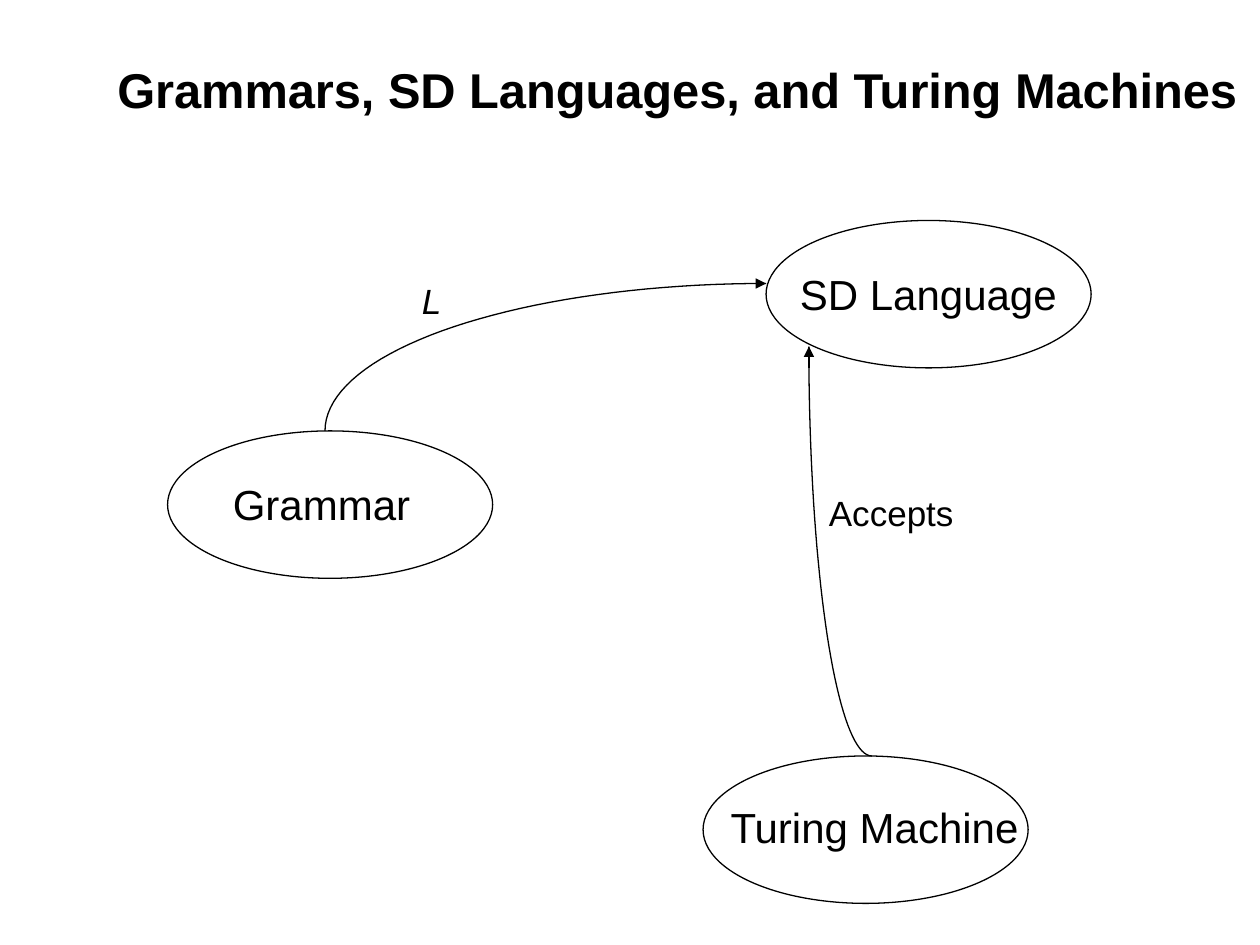
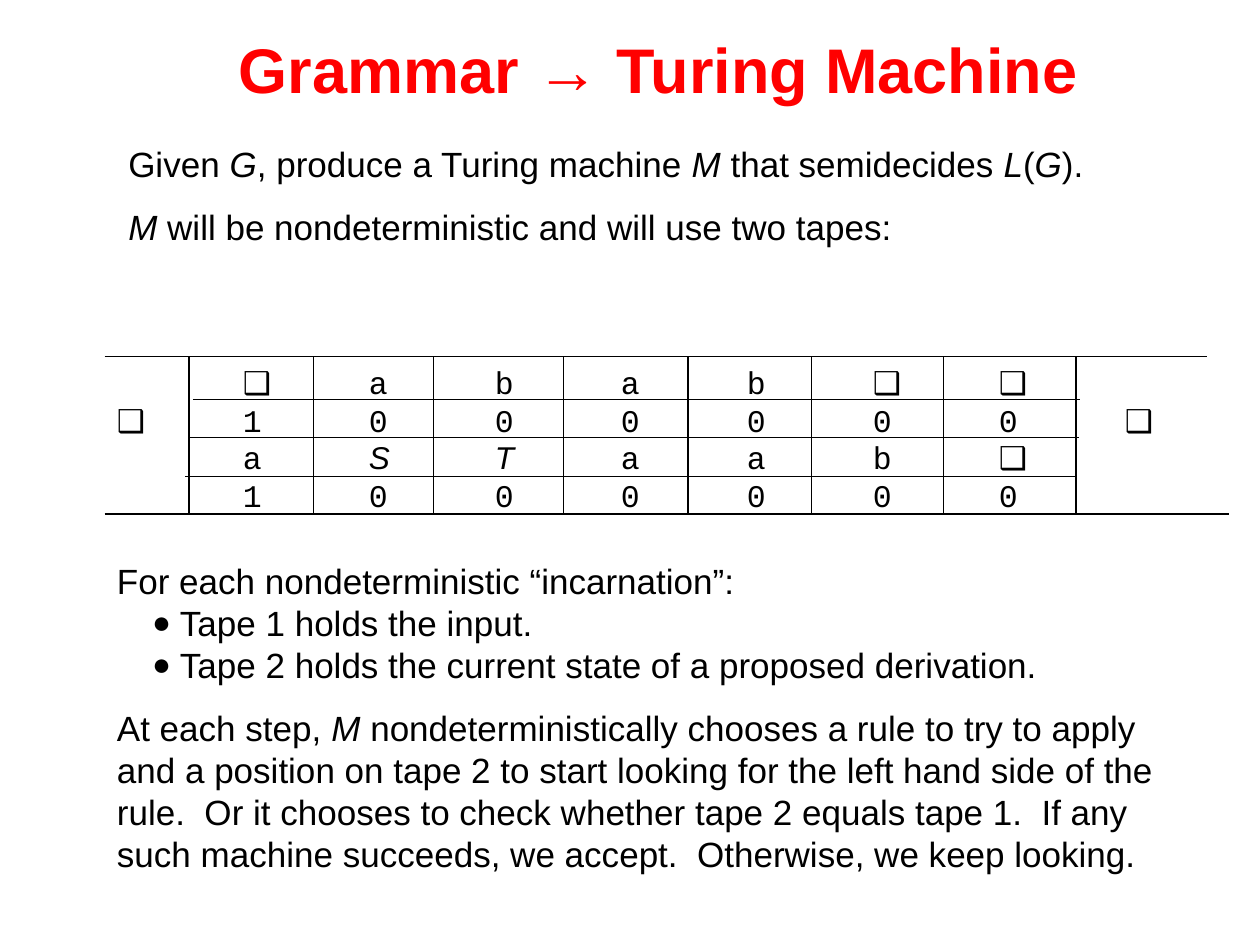
from dataclasses import dataclass
from math import cos, radians, sin

from lxml import etree
from pptx import Presentation
from pptx.dml.color import RGBColor
from pptx.enum.shapes import MSO_CONNECTOR, MSO_SHAPE
from pptx.enum.text import MSO_ANCHOR, MSO_AUTO_SIZE, PP_ALIGN
from pptx.oxml.ns import qn
from pptx.util import Inches, Pt

STRAIGHT = MSO_CONNECTOR.STRAIGHT
OVAL = MSO_SHAPE.OVAL
MIDDLE = MSO_ANCHOR.MIDDLE
GROW = MSO_AUTO_SIZE.SHAPE_TO_FIT_TEXT
LEFT, CENTER = PP_ALIGN.LEFT, PP_ALIGN.CENTER
BLANK_LAYOUT = 6


@dataclass(frozen=True)
class Theme:
    ink: RGBColor = RGBColor(0, 0, 0)
    accent: RGBColor = RGBColor(255, 0, 0)
    sans: str = "Arial"
    mono: str = "Courier New"
    long_title: float = 27.9
    title: float = 36
    node: float = 24
    body: float = 20
    tape: float = 18
    line: float = 0.75
    leading: float = 1.2
    paragraph_gap: float = 12


class Deck:
    def __init__(self, theme):
        self.theme = theme
        self.presentation = Presentation()
        self.presentation.slide_width = Inches(10)
        self.presentation.slide_height = Inches(7.5)
        self.slide = None

    def new_slide(self):
        layout = self.presentation.slide_layouts[BLANK_LAYOUT]
        self.slide = self.presentation.slides.add_slide(layout)

    def frame(self, box, wrap=True, grow=True):
        frame = self.slide.shapes.add_textbox(*map(Inches, box)).text_frame
        frame.word_wrap = wrap
        if grow:
            frame.auto_size = GROW
        return frame

    def space(self, paragraph, size, align=LEFT, before=0):
        paragraph.alignment = align
        paragraph.line_spacing = Pt(size * self.theme.leading)
        paragraph.space_before = Pt(before)

    def style(self, run, size, color=None, font=None, bold=False, italic=False):
        run.font.name = font or self.theme.sans
        run.font.size = Pt(size)
        run.font.color.rgb = color or self.theme.ink
        run.font.bold = bold
        run.font.italic = italic

    def title(self, text, box, size, color):
        frame = self.frame(box, grow=False)
        frame.vertical_anchor = MIDDLE
        frame.text = text
        self.space(frame.paragraphs[0], size, CENTER)
        self.style(frame.paragraphs[0].runs[0], size, color, bold=True)

    def label(self, text, box, size, wrap=True, italic=False):
        frame = self.frame(box, wrap)
        frame.text = text
        self.space(frame.paragraphs[0], size)
        self.style(frame.paragraphs[0].runs[0], size, italic=italic)

    def paragraphs(self, frame, count):
        return [frame.paragraphs[0]] + [frame.add_paragraph() for _ in range(count - 1)]

    def bullet(self, paragraph):
        props = paragraph._p.get_or_add_pPr()
        props.set("marL", str(Inches(0.5)))
        props.set("indent", str(-Inches(0.22)))
        etree.SubElement(props, qn("a:buSzPct"), val="90000")
        etree.SubElement(props, qn("a:buFont"), typeface=self.theme.sans)
        etree.SubElement(props, qn("a:buChar"), char="●")

    def tab_stops(self, paragraph, count):
        stops = etree.SubElement(paragraph._p.get_or_add_pPr(), qn("a:tabLst"))
        for inch in range(1, count + 1):
            etree.SubElement(stops, qn("a:tab"), pos=str(Inches(inch)), algn="l")

    def body(self, lines, box, spaced=(), bulleted=()):
        size = self.theme.body
        frame = self.frame(box)
        for index, paragraph in enumerate(self.paragraphs(frame, len(lines))):
            before = self.theme.paragraph_gap if index in spaced else 0
            self.space(paragraph, size, before=before)
            if index in bulleted:
                self.bullet(paragraph)
            for part, text in enumerate(lines[index].split("*")):
                if text:
                    run = paragraph.add_run()
                    run.text = text
                    self.style(run, size, italic=part % 2 == 1)

    def tape_cells(self, rows, box):
        size = self.theme.tape
        frame = self.frame(box)
        last_column = max(map(len, rows)) - 1
        for paragraph, cells in zip(self.paragraphs(frame, len(rows)), rows):
            self.space(paragraph, size)
            self.tab_stops(paragraph, last_column)
            for column, symbol in enumerate(cells):
                text = "\t" + symbol if column else symbol
                if text:
                    run = paragraph.add_run()
                    run.text = text
                    variable = symbol.isupper()
                    plain = variable or symbol == "❑"
                    font = self.theme.sans if plain else self.theme.mono
                    self.style(run, size, font=font, italic=variable)

    def outline(self, shape):
        shape.line.color.rgb = self.theme.ink
        shape.line.width = Pt(self.theme.line)

    def hollow(self, shape):
        shape.shadow.inherit = False
        shape.fill.background()
        self.outline(shape)

    def oval(self, left, top):
        box = map(Inches, (left, top, 2.58, 1.17))
        self.hollow(self.slide.shapes.add_shape(OVAL, *box))

    def quarter_curve(self, center, radii, first_angle, steps=40):
        angles = [radians(first_angle + 90 * step / steps) for step in range(steps + 1)]
        points = [
            (Inches(center[0] + radii[0] * cos(a)), Inches(center[1] + radii[1] * sin(a)))
            for a in angles
        ]
        builder = self.slide.shapes.build_freeform(*points[0])
        builder.add_line_segments(points[1:], close=False)
        self.hollow(builder.convert_to_shape())

    def line(self, start, end, arrow=False):
        ends = map(Inches, (*start, *end))
        connector = self.slide.shapes.add_connector(STRAIGHT, *ends)
        self.outline(connector)
        if arrow:
            etree.SubElement(connector.line._get_or_add_ln(), qn("a:tailEnd"), type="triangle")
        etree.SubElement(connector._element.spPr, qn("a:effectLst"))


def language_diagram(deck):
    theme = deck.theme
    deck.new_slide()
    deck.title("Grammars, SD Languages, and Turing Machines",
               (0.75, 0.25, 9.25, 0.92), theme.long_title, theme.ink)
    nodes = [
        ("SD Language", (6.25, 2.08, 2.75, 0.5), (6.08, 1.75)),
        ("Grammar", (1.75, 3.75, 3.17, 0.5), (1.33, 3.42)),
        ("Turing Machine", (5.7, 6.31, 2.5, 0.5), (5.58, 6)),
    ]
    for name, name_box, corner in nodes:
        deck.label(name, name_box, theme.node)
        deck.oval(*corner)
    deck.quarter_curve((6.08, 3.42), (3.5, 1.17), 180)
    deck.line((5.92, 2.25), (6.08, 2.25), arrow=True)
    deck.quarter_curve((6.92, 2.75), (0.5, 3.25), 90)
    deck.line((6.42, 2.92), (6.42, 2.75), arrow=True)
    deck.label("L", (3.25, 2.17, 0.58, 0.44), theme.body, italic=True)
    deck.label("Accepts", (6.48, 3.85, 1.19, 0.44), theme.body, wrap=False)


def two_tape_machine(deck):
    theme = deck.theme
    deck.new_slide()
    deck.body([
        "Given *G*, produce a Turing machine *M* that semidecides *L*(*G*).",
        "*M* will be nondeterministic and will use two tapes:",
    ], (0.92, 1.08, 9.17, 0.94), spaced=(1,))
    deck.title("Grammar → Turing Machine ", (0.42, 0.08, 9.75, 0.92),
               theme.title, theme.accent)
    deck.body([
        "For each nondeterministic “incarnation”:",
        "Tape 1 holds the input.",
        "Tape 2 holds the current state of a proposed derivation.",
        "At each step, *M* nondeterministically chooses a rule to try to apply",
        "and a position on tape 2 to start looking for the left hand side of the",
        "rule.  Or it chooses to check whether tape 2 equals tape 1.  If any",
        "such machine succeeds, we accept.  Otherwise, we keep looking.",
    ], (0.83, 4.39, 9.17, 2.6), spaced=(3,), bulleted=(1, 2))

    head_track = list("1000000")
    deck.tape_cells([
        ["", *"❑abab❑❑"],
        ["❑", *head_track, "❑"],
        ["", *"aSTaab❑"],
        ["", *head_track],
    ], (0.83, 2.83, 8.83, 1.3))

    track_edges = [
        (0.83, 9.58, 2.83), (1.53, 8.57, 3.17), (1.5, 8.56, 3.47),
        (1.47, 8.53, 3.78), (0.83, 9.75, 4.08),
    ]
    for left, right, y in track_edges:
        deck.line((left, y), (right, y))
    for x in (1.5, 2.49, 3.44, 4.47, 5.46, 6.44, 7.49, 8.54):
        deck.line((x, 2.83), (x, 4.08))


def main():
    deck = Deck(Theme())
    language_diagram(deck)
    two_tape_machine(deck)
    deck.presentation.save("out.pptx")


if __name__ == "__main__":
    main()
